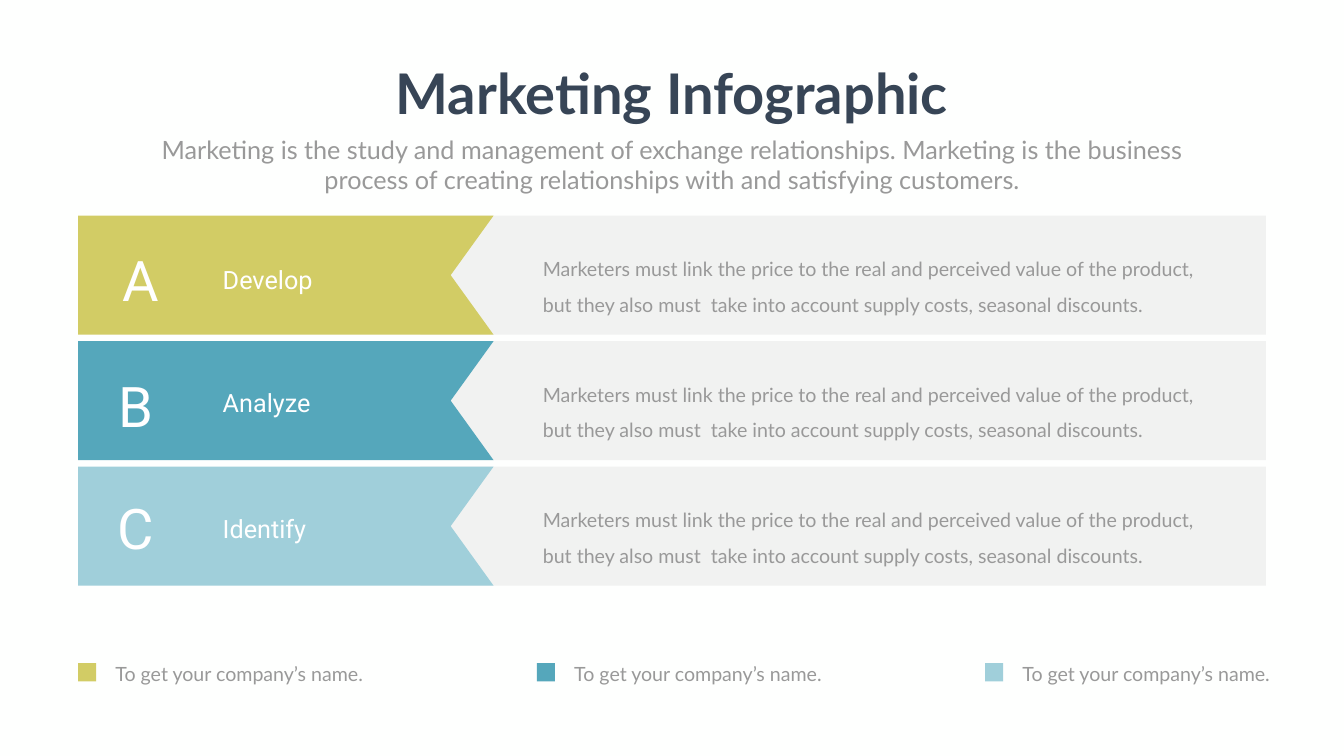
import pptx
import pptx.util
from lxml import etree
from pptx.dml.color import RGBColor
from pptx.enum.shapes import MSO_SHAPE
from pptx.enum.text import MSO_ANCHOR, MSO_AUTO_SIZE, PP_ALIGN
from pptx.oxml.ns import qn
from pptx.util import Inches, Pt

COLORS = {
    "background": "FEFFFE",
    "title": "374556",
    "text": "999999",
    "white": "FFFFFF",
    "panel": "808080",
    "olive": "D2CC65",
    "teal": "55A7BB",
    "sky": "A0CFDA",
}
SUBTITLE = (
    "Marketing is the study and management of exchange relationships. "
    "Marketing is the business process of creating relationships with "
    "and satisfying customers."
)
DETAIL = (
    "Marketers must link the price to the real and perceived value of the "
    "product, but they also must  take into account supply costs, "
    "seasonal discounts."
)
LEGEND = "To get your company’s name."
ROW_TOP, ROW_PITCH, ROW_HEIGHT = 4.28, 2.49, 2.36
ROWS = [
    ("A", "Develop", "olive", (2.34, 4.82, 0.95, 1.45), 5.19),
    ("B", "Analyze", "teal", (2.25, 7.33, 0.91, 1.45), 7.64),
    ("C", "Identify", "sky", (2.24, 9.75, 0.93, 1.45), 10.14),
]
LEGENDS = [("olive", 1.55), ("teal", 10.65), ("sky", 19.54)]


def rgb(name):
    return RGBColor.from_string(COLORS[name])


def paint(shape, color, alpha=None):
    shape.shadow.inherit = False
    shape.fill.solid()
    shape.fill.fore_color.rgb = rgb(color)
    shape.line.fill.background()
    if alpha is not None:
        clr = shape.fill._xPr.find(qn("a:solidFill"))[0]
        etree.SubElement(clr, qn("a:alpha")).set("val", str(alpha * 1000))


def write(shape, text, size, font, color, wrap=True, align=PP_ALIGN.LEFT, bold=False):
    tf = shape.text_frame
    tf.word_wrap = wrap
    tf.auto_size = MSO_AUTO_SIZE.SHAPE_TO_FIT_TEXT
    tf.vertical_anchor = MSO_ANCHOR.TOP
    p = tf.paragraphs[0]
    p.text = text
    p.alignment = align
    p.font.size = Pt(size)
    p.font.name = font
    p.font.bold = bold
    p.font.color.rgb = rgb(color)
    return p


def add_text(shapes, box, text, size, font, color, **options):
    tb = shapes.add_textbox(*map(Inches, box))
    return tb, write(tb, text, size, font, color, **options)


def add_outline(s, points, color, alpha=None):
    points = [(Inches(x), Inches(y)) for x, y in points]
    fb = s.shapes.build_freeform(*points[0], scale=1.0)
    fb.add_line_segments(points[1:], close=True)
    paint(fb.convert_to_shape(), color, alpha)


def add_heading(s):
    title = s.shapes.title
    title.left, title.top = Inches(7.61), Inches(1.12)
    title.width, title.height = Inches(11.44), Inches(1.45)
    write(title, "Marketing Infographic", 80, "Lato", "title",
          wrap=False, align=PP_ALIGN.CENTER, bold=True)
    add_text(s.shapes, (2.92, 2.61, 20.82, 1.31), SUBTITLE, 36, "Lato", "text",
             align=PP_ALIGN.CENTER)


def add_row(s, top, letter, label, color, letter_box, label_top):
    bottom = top + ROW_HEIGHT
    add_outline(s, [(8.34, top), (25.11, top), (25.11, bottom), (8.34, bottom)],
                "panel", alpha=10)
    add_outline(s, [(1.55, top), (9.79, top), (8.94, top + ROW_HEIGHT / 2),
                    (9.79, bottom), (1.55, bottom)], color)
    add_text(s.shapes, letter_box, letter, 80, "Roboto", "white", wrap=False)
    add_text(s.shapes, (4.32, label_top, 4.02, 0.71), label, 36, "Roboto", "white")
    _, p = add_text(s.shapes, (10.67, top + 0.54, 13.57, 1.42), DETAIL,
                    28, "Lato", "text")
    p.line_spacing = 1.5


def add_legend(s, color, left):
    group = s.shapes.add_group_shape()
    tb, p = add_text(group.shapes, (left + 0.5, 12.92, 5.79, 0.75), LEGEND,
                     28, "Lato", "text")
    tf = tb.text_frame
    tf.margin_left = tf.margin_right = Inches(0.24)
    tf.margin_top = tf.margin_bottom = Inches(0.12)
    p.line_spacing = Pt(40.8)
    marker = group.shapes.add_shape(MSO_SHAPE.RECTANGLE, Inches(left), Inches(13.16),
                                    Inches(0.36), Inches(0.36))
    paint(marker, color)


def main():
    prs = pptx.Presentation()
    prs.slide_width, prs.slide_height = Inches(26.66), Inches(15)
    s = prs.slides.add_slide(prs.slide_layouts[5])
    s.background.fill.solid()
    s.background.fill.fore_color.rgb = rgb("background")
    add_heading(s)
    for i, row in enumerate(ROWS):
        add_row(s, ROW_TOP + i * ROW_PITCH, *row)
    for color, left in LEGENDS:
        add_legend(s, color, left)
    prs.save("out.pptx")


if __name__ == "__main__":
    main()
